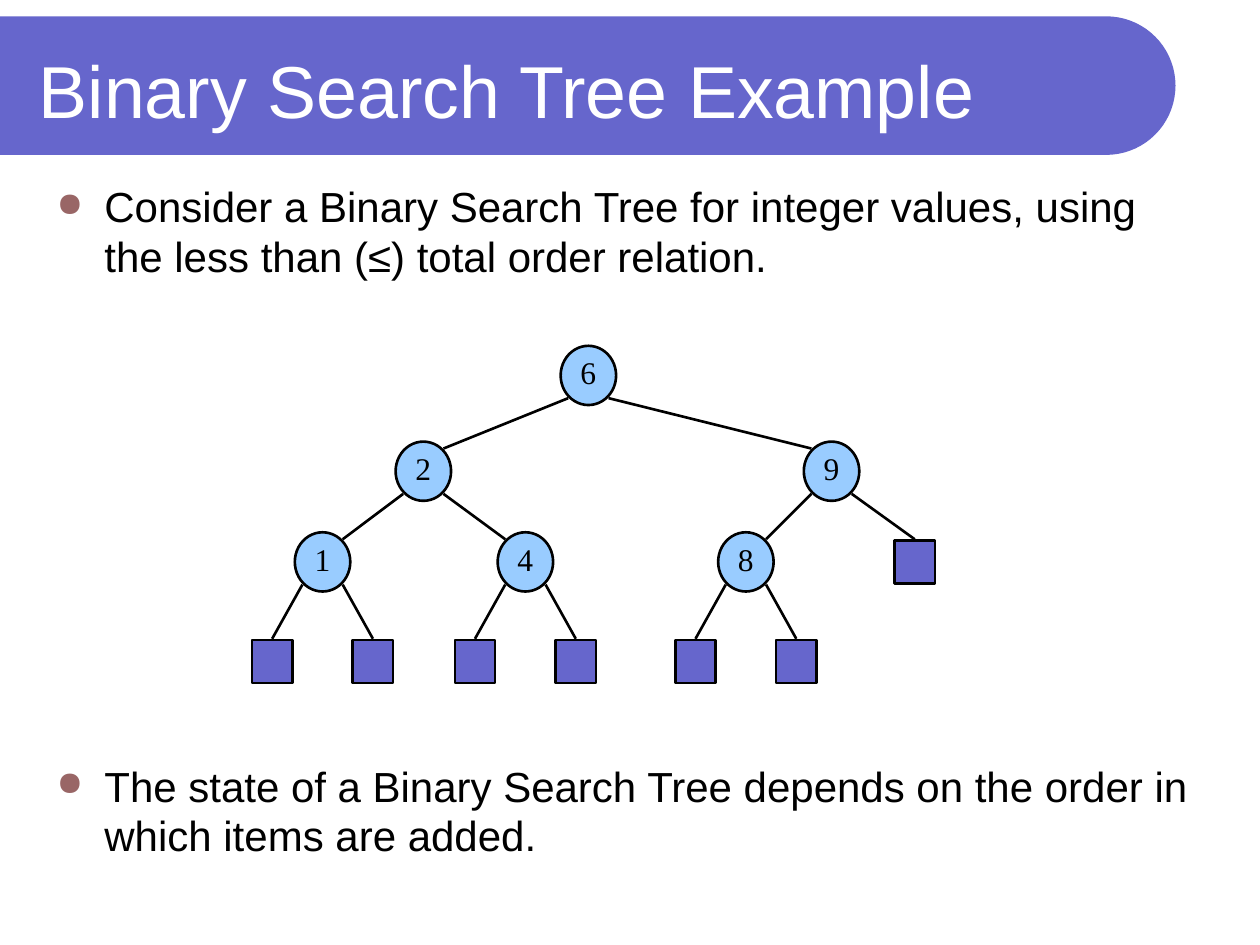
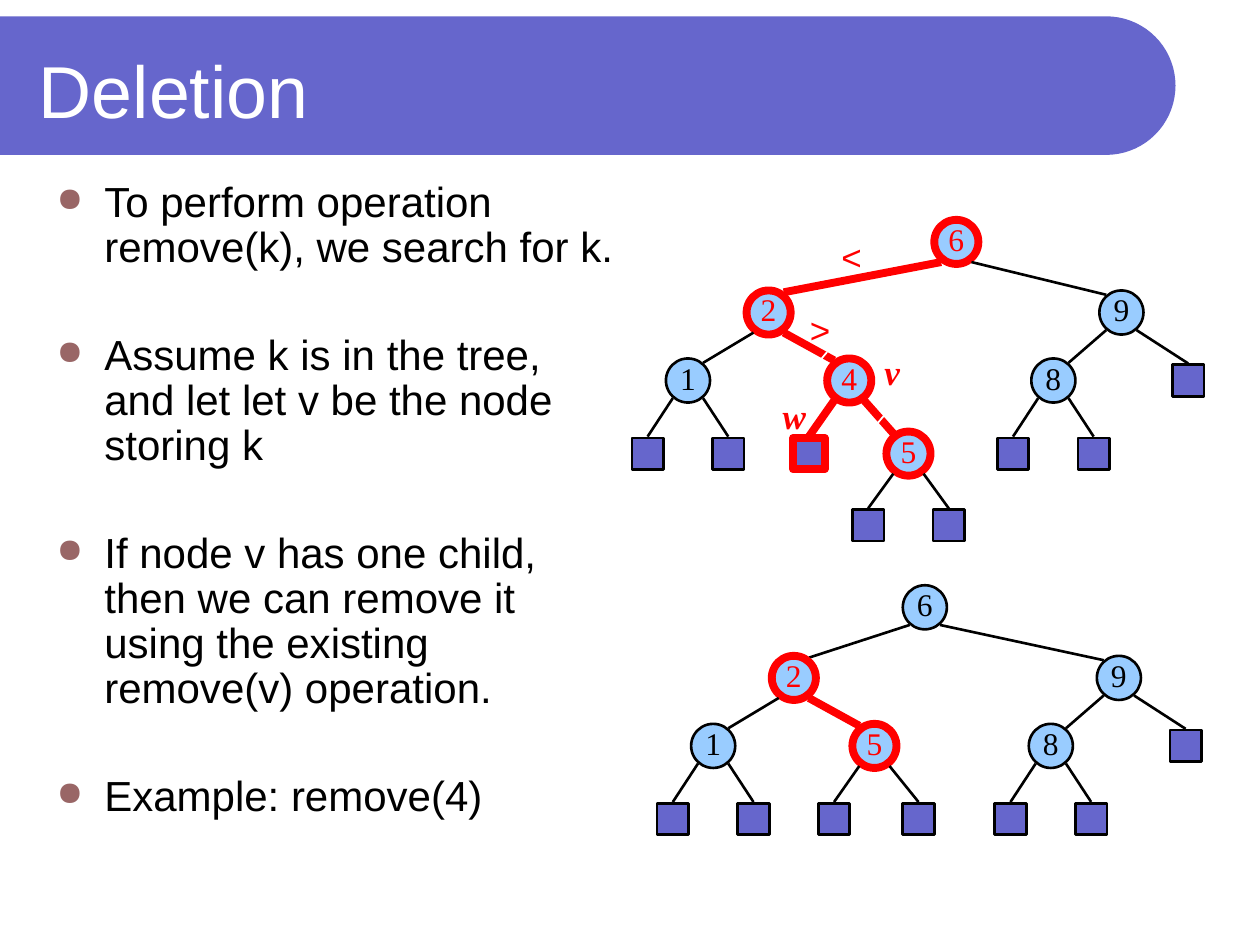
import math
from dataclasses import dataclass
from typing import Any, Optional

from lxml import etree
from pptx import Presentation
from pptx import util as u
from pptx.dml.color import RGBColor
from pptx.enum import dml, shapes, text
from pptx.oxml.ns import qn

PURPLE, SKY, BLACK, RED, WHITE, BULLET = "6666CC", "99CCFF", "000000", "FF0000", "FFFFFF", "996666"
SANS, SERIF = "Arial", "Times New Roman"


@dataclass
class Node:
    """A tree node centred at x; without a label it is an external leaf."""
    x: float
    label: str = ""
    marked: bool = False
    children: tuple["Node", ...] = ()


@dataclass
class TreeStyle:
    """Sizes in inches; reach is the offset from a node's centre to its edges' ends."""
    levels: tuple[float, ...]
    circle: tuple[float, float]
    square: tuple[float, float]
    reach_x: float
    reach_y: float
    marked_reach_y: float


@dataclass
class Bullets:
    width: float
    line_height: float
    gap: float
    items: tuple[str, ...]


@dataclass
class Label:
    caption: str
    left: float
    top: float
    width: float
    format: dict[str, Any]


def rgb(color: str) -> RGBColor:
    return RGBColor.from_string(color)


def apply(target: Any, values: dict[str, Any]) -> None:
    for name, value in values.items():
        setattr(target, name, value)


def style_font(font: Any, size: float, name: str, color: str, **extra: Any) -> None:
    apply(font, {"size": u.Pt(size), "name": name, **extra})
    font.color.rgb = rgb(color)


def style_line(line: Any, color: str, width: float) -> None:
    line.color.rgb = rgb(color)
    line.width = u.Pt(width)


def add_text_box(slide: Any, left: float, top: float, width: float, height: float, **frame: Any) -> Any:
    box = slide.shapes.add_textbox(*map(u.Inches, (left, top, width, height)))
    apply(box.text_frame, {"word_wrap": True, **frame})
    return box.text_frame


def add_banner(slide: Any) -> None:
    center_x, center_y, radius = 8.78, 0.68, 0.55
    angles = [math.radians(degree) for degree in range(-90, 91, 5)]
    arc = [(u.Inches(center_x + radius * math.cos(a)), u.Inches(center_y + radius * math.sin(a)))
           for a in angles]
    builder = slide.shapes.build_freeform(0, u.Inches(center_y - radius))
    builder.add_line_segments(arc + [(0, u.Inches(center_y + radius))])
    banner = builder.convert_to_shape()
    banner.shadow.inherit = False
    banner.fill.solid()
    banner.fill.fore_color.rgb = rgb(PURPLE)
    banner.line.fill.background()


def add_title(slide: Any, title: str) -> None:
    frame = add_text_box(slide, 0.21, 0.21, 8.77, 1, vertical_anchor=text.MSO_ANCHOR.MIDDLE)
    frame.text = title
    style_font(frame.paragraphs[0].font, 42, SANS, WHITE)


def add_bullets(slide: Any, bullets: Bullets) -> None:
    frame = add_text_box(slide, 0.35, 1.39, bullets.width, 5.75)
    for index, item in enumerate(bullets.items):
        paragraph = frame.add_paragraph() if index else frame.paragraphs[0]
        properties = paragraph._p.get_or_add_pPr()
        properties.set("marL", str(u.Inches(0.38)))
        properties.set("indent", str(-u.Inches(0.38)))
        paragraph.line_spacing = u.Pt(bullets.line_height)
        if index:
            paragraph.space_before = u.Pt(bullets.gap)
        color = etree.SubElement(properties, qn("a:buClr"))
        etree.SubElement(color, qn("a:srgbClr"), val=BULLET)
        etree.SubElement(properties, qn("a:buSzPct"), val="80000")
        etree.SubElement(properties, qn("a:buChar"), char="●")
        paragraph.text = item
        style_font(paragraph.font, 24, SANS, BLACK)


def add_label(slide: Any, label: Label) -> None:
    frame = add_text_box(slide, label.left, label.top, label.width, 0.43, word_wrap=False)
    paragraph = frame.paragraphs[0]
    paragraph.text = label.caption
    paragraph.alignment = text.PP_ALIGN.CENTER
    style_font(paragraph.font, 20, color=RED, **label.format)


def add_edge(slide: Any, start: tuple[float, float], end: tuple[float, float], marked: bool) -> None:
    edge = slide.shapes.add_connector(shapes.MSO_CONNECTOR.STRAIGHT, *map(u.Inches, start + end))
    style_line(edge.line, RED if marked else BLACK, 4.5 if marked else 1.5)
    etree.SubElement(edge._element.spPr, qn("a:effectLst"))


def add_node(slide: Any, node: Node, center_y: float, style: TreeStyle) -> None:
    width, height = style.circle if node.label else style.square
    kind = shapes.MSO_SHAPE.OVAL if node.label else shapes.MSO_SHAPE.RECTANGLE
    shape = slide.shapes.add_shape(
        kind, *map(u.Inches, (node.x - width / 2, center_y - height / 2, width, height)))
    shape.shadow.inherit = False
    shape.fill.solid()
    shape.fill.fore_color.rgb = rgb(SKY if node.label else PURPLE)
    color = RED if node.marked else BLACK
    style_line(shape.line, color, 4.5 if node.marked else 1.5)
    if node.label:
        frame = shape.text_frame
        apply(frame, {"margin_left": 0, "margin_top": 0, "margin_right": 0,
                      "margin_bottom": u.Inches(0.05), "word_wrap": False,
                      "vertical_anchor": text.MSO_ANCHOR.MIDDLE})
        paragraph = frame.paragraphs[0]
        paragraph.text = node.label
        paragraph.alignment = text.PP_ALIGN.CENTER
        style_font(paragraph.font, 18, SERIF, color)


def add_tree(slide: Any, node: Node, style: TreeStyle, top: float = 0, depth: int = 0) -> None:
    """Draw a node, then each edge below it followed by that child's subtree."""
    def reach_y(end: Node) -> float:
        return style.marked_reach_y if end.marked else style.reach_y

    center_y = top + style.levels[depth]
    add_node(slide, node, center_y, style)
    for child in node.children:
        side = 1 if child.x > node.x else -1
        start = (node.x + side * style.reach_x, center_y + reach_y(node))
        child_y = top + style.levels[depth + 1]
        if child.label:
            end = (child.x - side * style.reach_x, child_y - reach_y(child))
        else:
            end = (child.x, child_y - style.square[1] / 2 - 0.01)
        add_edge(slide, start, end, node.marked and child.marked)
        add_tree(slide, child, style, top, depth + 1)


def parent_of_leaves(x: float, label: str, left: float, right: Optional[float] = None,
                     marked: bool = False) -> Node:
    """Node with two external leaves, left and right being their distances."""
    return Node(x, label, marked, (Node(x - left), Node(x + (right or left))))


def add_search_window(slide: Any) -> None:
    window = slide.shapes.add_shape(
        shapes.MSO_SHAPE.ROUNDED_RECTANGLE, *map(u.Inches, (5.95, 2.92, 1.33, 0.67)))
    window.shadow.inherit = False
    window.adjustments[0] = 0.29
    window.rotation = 310
    window._element.spPr.xfrm.set("flipH", "1")
    window.fill.background()
    style_line(window.line, WHITE, 1)
    window.line.dash_style = dml.MSO_LINE.LONG_DASH


def add_base_slide(presentation: Any, title: str, bullets: Bullets) -> Any:
    slide = presentation.slides.add_slide(presentation.slide_layouts[6])
    add_banner(slide)
    add_title(slide, title)
    add_bullets(slide, bullets)
    return slide


def add_example_slide(presentation: Any) -> None:
    slide = add_base_slide(presentation, "Binary Search Tree Example", Bullets(9.29, 28.5, 274, (
        "Consider a Binary Search Tree for integer values, using the less than (≤) total order relation.",
        "The state of a Binary Search Tree depends on the order in which items are added.")))
    style = TreeStyle((2.98, 3.74, 4.46, 5.25), (0.44, 0.47), (0.32, 0.34), 0.16, 0.18, 0.18)
    spread = 0.4
    two = Node(3.36, "2", children=(parent_of_leaves(2.56, "1", spread),
                                    parent_of_leaves(4.17, "4", spread)))
    nine = Node(6.6, "9", children=(parent_of_leaves(5.92, "8", spread), Node(7.26)))
    add_tree(slide, Node(4.67, "6", children=(two, nine)), style)


def add_deletion_slide(presentation: Any) -> None:
    slide = add_base_slide(presentation, "Deletion", Bullets(4.65, 25.7, 36, (
        "To perform operation remove(k), we search for k.",
        "Assume k is in the tree, and let let v be the node storing k",
        "If node v has one child, then we can remove it using the existing remove(v) operation.",
        "Example: remove(4)")))
    style = TreeStyle((1.92, 2.48, 3.02, 3.6, 4.17), (0.35, 0.35), (0.25, 0.25), 0.12, 0.14, 0.16)
    spread = 0.32

    def nine(x: float) -> Node:
        return Node(x, "9", children=(parent_of_leaves(x - 0.54, "8", spread), Node(x + 0.53)))

    four = Node(6.74, "4", True, (Node(6.42, marked=True),
                                  parent_of_leaves(7.21, "5", spread, marked=True)))
    two_before = Node(6.1, "2", True, (parent_of_leaves(5.46, "1", spread), four))
    two_after = Node(6.3, "2", True, (parent_of_leaves(5.66, "1", spread),
                                      parent_of_leaves(6.94, "5", spread, 0.35, True)))
    add_tree(slide, Node(7.59, "6", True, (two_before, nine(8.9))), style)
    add_tree(slide, Node(7.34, "6", children=(two_after, nine(8.88))), style, top=2.9)

    variable = {"name": SERIF, "bold": True, "italic": True}
    comparison = {"name": SANS}
    for label in (Label("v", 6.92, 2.73, 0.32, variable), Label("w", 6.11, 3.08, 0.39, variable),
                  Label("<", 6.58, 1.82, 0.35, comparison), Label(">", 6.33, 2.4, 0.35, comparison)):
        add_label(slide, label)
    add_search_window(slide)


def main() -> None:
    presentation = Presentation()
    presentation.slide_width, presentation.slide_height = u.Inches(10), u.Inches(7.5)
    add_example_slide(presentation)
    add_deletion_slide(presentation)
    presentation.save("out.pptx")


if __name__ == "__main__":
    main()
